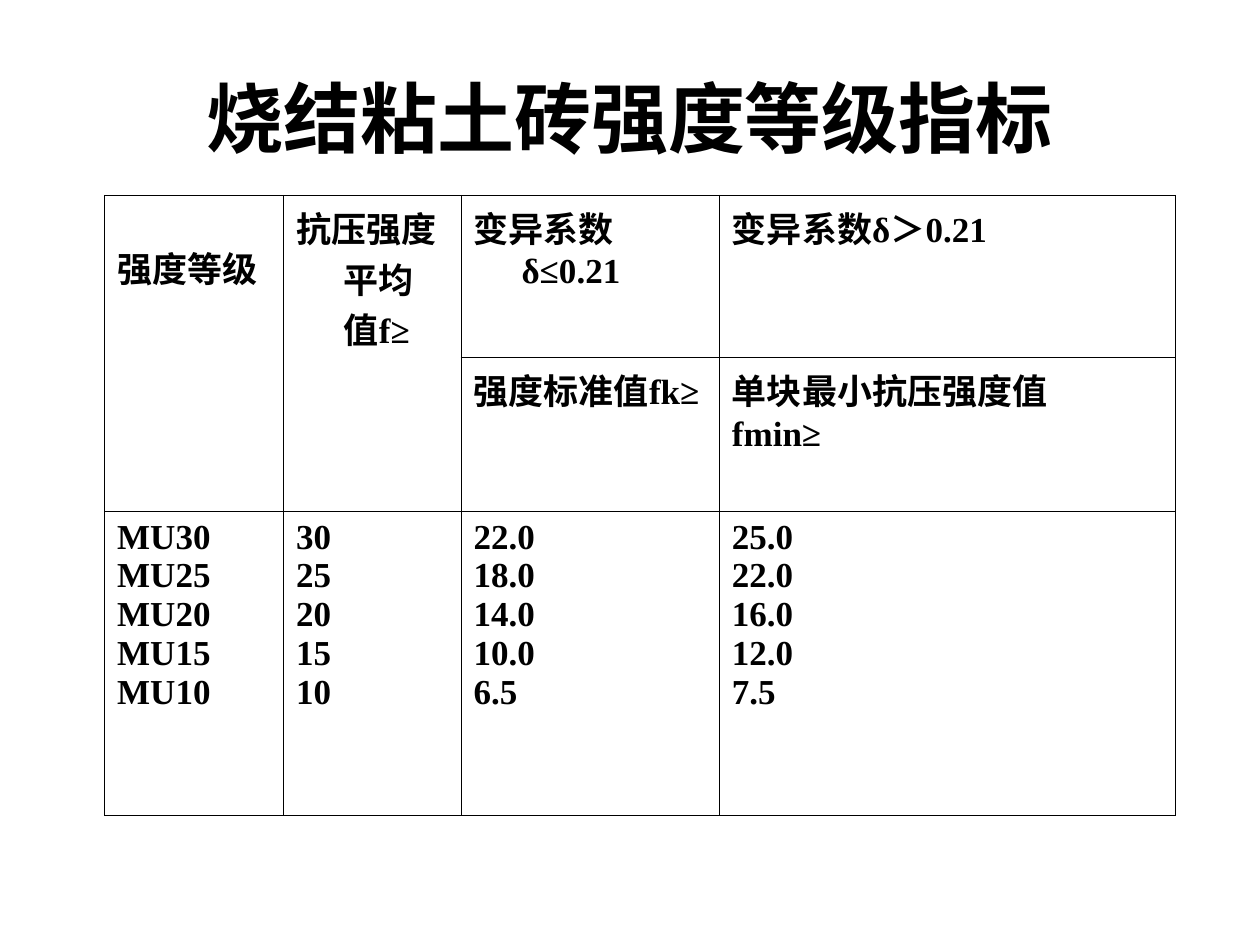
from lxml import etree
from pptx import Presentation
from pptx.dml.color import RGBColor
from pptx.enum.text import MSO_ANCHOR, PP_ALIGN
from pptx.oxml.ns import qn
from pptx.util import Inches, Pt

MIDDLE, CENTER = MSO_ANCHOR.MIDDLE, PP_ALIGN.CENTER

TITLE = "烧结粘土砖强度等级指标"
# (row, column, row span, paragraphs)
HEADERS = [
    (0, 0, 2, ["强度等级"]),
    (0, 1, 2, ["抗压强度平均值f≥"]),
    (0, 2, 1, ["变异系数δ≤0.21"]),
    (0, 3, 1, ["变异系数δ＞0.21"]),
    (1, 2, 1, ["强度标准值fk≥"]),
    (1, 3, 1, ["单块最小抗压强度值", "fmin≥"]),
]
GRADES = [
    ("MU30", "30", "22.0", "25.0"),
    ("MU25", "25", "18.0", "22.0"),
    ("MU20", "20", "14.0", "16.0"),
    ("MU15", "15", "10.0", "12.0"),
    ("MU10", "10", "6.5", "7.5"),
]
COLUMNS = [1.42, 1.41, 2.05, 3.62]
ROWS = [1.29, 1.22, 2.41]
TABLE_LEFT, TABLE_TOP = 0.83, 1.55
HANGING = 0.38
LABEL_DROP = 0.37  # top margin of the first header

THEME = {
    "ink": RGBColor(0, 0, 0),
    "title_font": "Arial", "title_size": Pt(44),
    "table_font": "Times New Roman", "table_size": Pt(20),
    "border": Pt(0.45),
}


def style(p, role):
    p.font.name = THEME[role + "_font"]
    p.font.size = THEME[role + "_size"]
    p.font.color.rgb = THEME["ink"]
    p.font.bold = True


def fill_cell(cell, lines):
    tf = cell.text_frame
    for i, line in enumerate(lines):
        p = tf.paragraphs[0] if i == 0 else tf.add_paragraph()
        p.text = line
        pPr = p._p.get_or_add_pPr()
        pPr.set("marL", str(Inches(HANGING)))
        pPr.set("indent", str(-Inches(HANGING)))
        style(p, "table")


def border_cell(cell):
    """Draw all four edges and leave the cell unfilled."""
    tcPr = cell._tc.get_or_add_tcPr()
    for edge in ("a:lnL", "a:lnR", "a:lnT", "a:lnB"):
        ln = etree.SubElement(tcPr, qn(edge), w=str(THEME["border"]))
        fill = etree.SubElement(ln, qn("a:solidFill"))
        etree.SubElement(fill, qn("a:srgbClr"), val=str(THEME["ink"]))
    cell.fill.background()


prs = Presentation()
prs.slide_width, prs.slide_height = Inches(10), Inches(7.5)
s = prs.slides.add_slide(prs.slide_layouts[6])

tf = s.shapes.add_textbox(Inches(0.5), Inches(0.3), Inches(9), Inches(1.25)).text_frame
tf.word_wrap = True
tf.vertical_anchor = MIDDLE
p = tf.paragraphs[0]
p.text = TITLE
p.alignment = CENTER
style(p, "title")

table = s.shapes.add_table(
    len(ROWS), len(COLUMNS), Inches(TABLE_LEFT), Inches(TABLE_TOP),
    Inches(sum(COLUMNS)), Inches(sum(ROWS))).table
table.first_row = table.horz_banding = False
for column, width in zip(table.columns, COLUMNS):
    column.width = Inches(width)
for row, height in zip(table.rows, ROWS):
    row.height = Inches(height)
for cell in table.iter_cells():
    border_cell(cell)

for row, col, span, lines in HEADERS:
    cell = table.cell(row, col)
    if span > 1:
        cell.merge(table.cell(row + span - 1, col))
    fill_cell(cell, lines)
table.cell(0, 0).margin_top = Inches(LABEL_DROP)
for col, values in enumerate(zip(*GRADES)):
    fill_cell(table.cell(len(ROWS) - 1, col), values)

prs.save("out.pptx")
